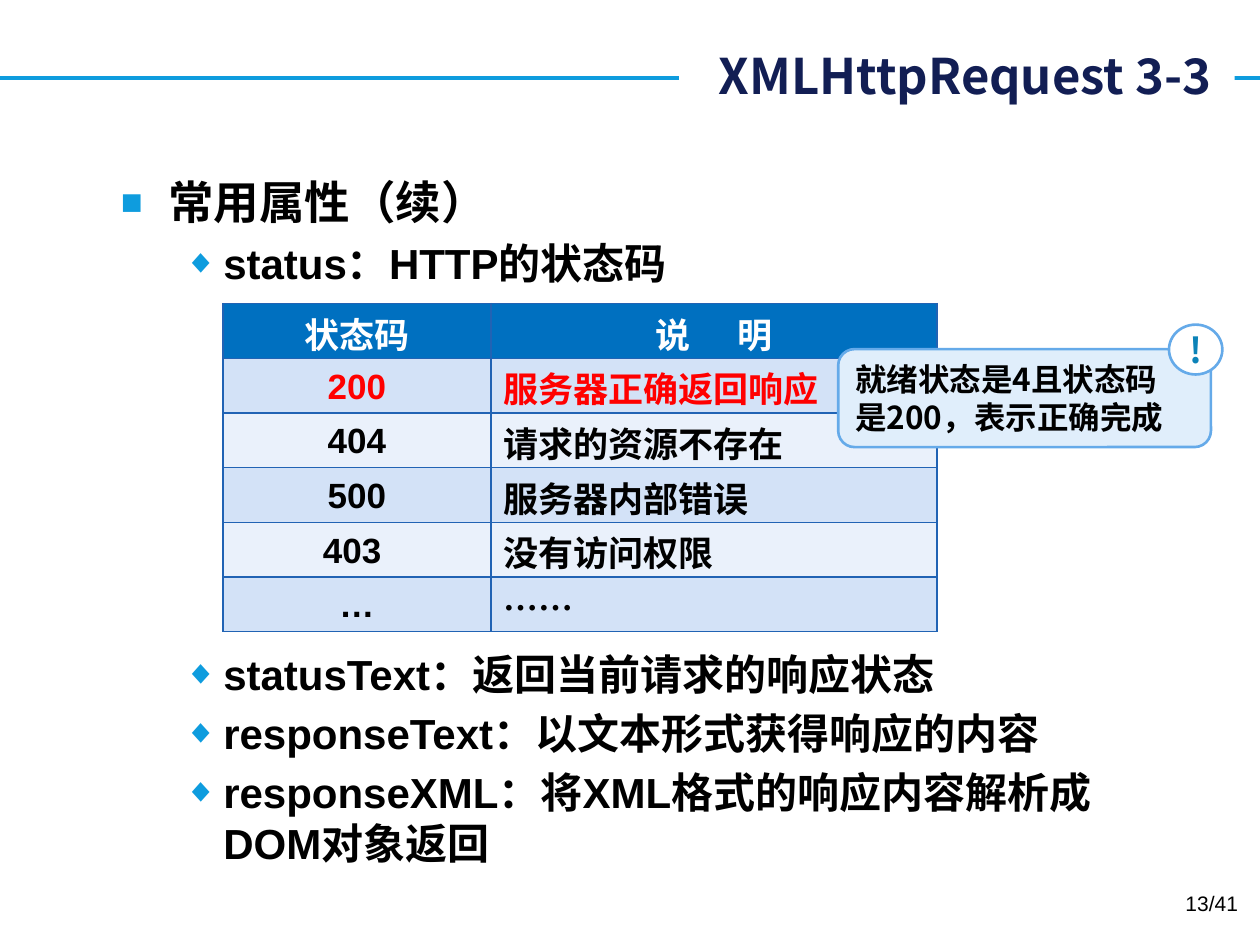
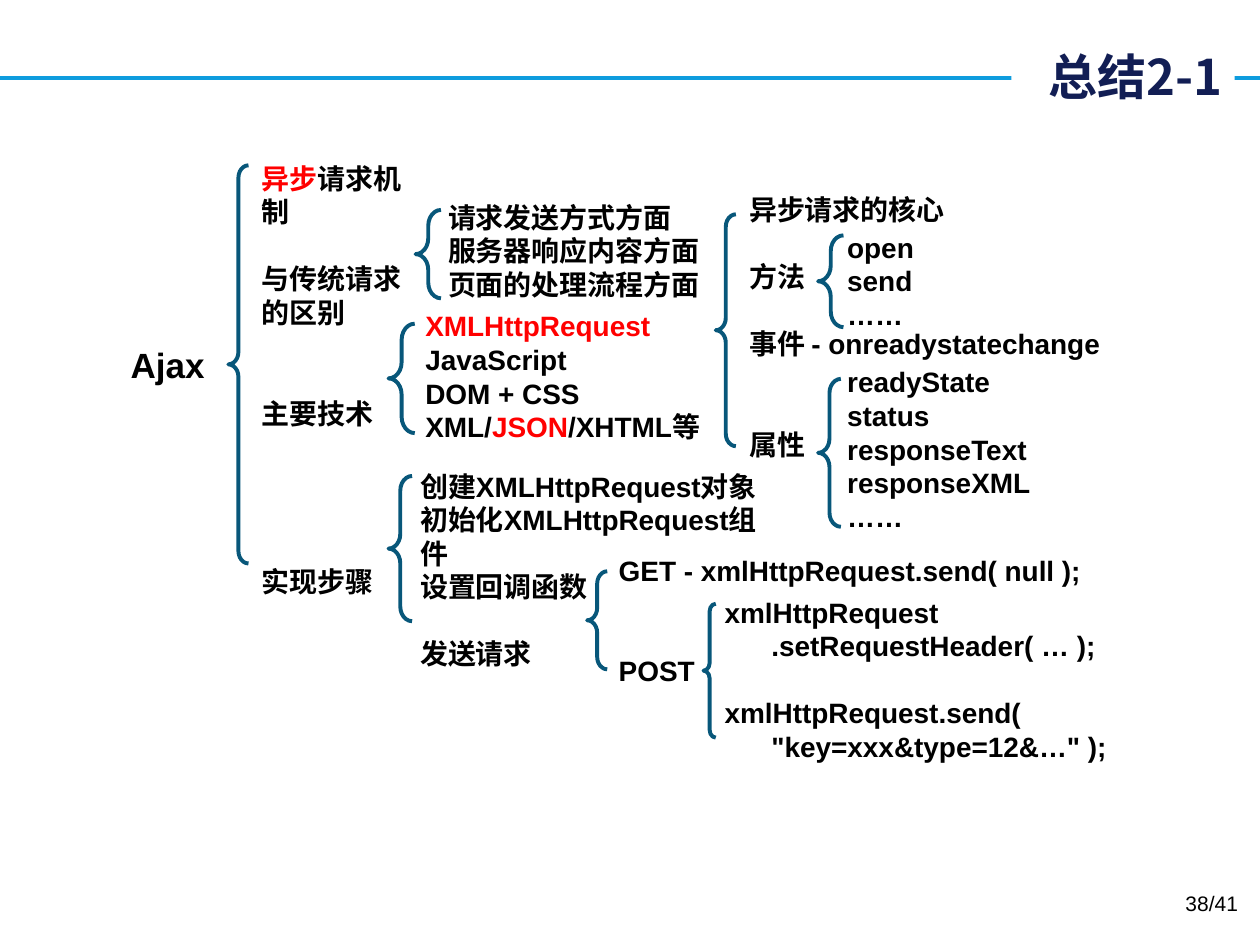
from dataclasses import dataclass

from lxml.etree import SubElement
from pptx import Presentation
from pptx.dml.color import RGBColor
from pptx.enum.shapes import MSO_CONNECTOR, MSO_SHAPE
from pptx.enum.text import MSO_ANCHOR, PP_ALIGN
from pptx.oxml.ns import qn
from pptx.util import Pt


@dataclass(frozen=True)
class Theme:
    accent: str = "0E9CDE"
    title: str = "121E54"
    text: str = "000000"
    paper: str = "FFFFFF"
    emphasis: str = "FF0000"
    brace: str = "08577A"
    header: str = "0070C0"
    bands: tuple = ("EAF1FB", "D3E2F7")
    grid: str = "2163B4"
    note_fill: str = "E0EEFB"
    note_line: str = "65AAE9"
    note_mark: str = "0C83B8"
    latin: str = "Arial"
    han: str = "Noto Sans CJK SC"
    title_size: int = 28
    heading_size: int = 26
    body_size: int = 24
    table_size: int = 20
    note_size: int = 18
    tree_size: int = 16
    footer_size: int = 12
    leading: float = 1.2


@dataclass
class Line:
    text: str
    before: float = 0
    indent: float = 0
    hanging: float = 0
    bullet: str = ""
    size: int = 0


theme = Theme()


def write(frame, lines, size, color=theme.text, font=theme.latin, bold=True,
          align=PP_ALIGN.LEFT, anchor=MSO_ANCHOR.TOP):
    """Fill a text frame; parts between asterisks take the emphasis colour."""
    frame.word_wrap = True
    frame.vertical_anchor = anchor
    for index, line in enumerate(lines):
        para = frame.add_paragraph() if index else frame.paragraphs[0]
        points = line.size or size
        formats = {"alignment": align, "space_before": Pt(line.before),
                   "line_spacing": Pt(round(points * theme.leading, 1))}
        for name, value in formats.items():
            setattr(para, name, value)
        properties = para._p.get_or_add_pPr()
        properties.set("marL", str(Pt(line.indent)))
        properties.set("indent", str(Pt(-line.hanging)))
        if line.bullet:
            tint = SubElement(properties, qn("a:buClr"))
            SubElement(tint, qn("a:srgbClr"), val=theme.accent)
            SubElement(properties, qn("a:buSzPct"), val="80000")
            SubElement(properties, qn("a:buFont"), typeface=theme.latin)
            SubElement(properties, qn("a:buChar"), char=line.bullet)
        for part, text in enumerate(line.text.split("*")):
            if not text:
                continue
            span = para.add_run()
            span.text = text
            for name, value in {"size": Pt(points), "bold": bold, "name": font}.items():
                setattr(span.font, name, value)
            span.font.color.rgb = RGBColor.from_string(theme.emphasis if part % 2 else color)
            SubElement(span._r.get_or_add_rPr(), qn("a:ea"), typeface=theme.han)


def start_page(deck, title, title_frame, number):
    """Add a page with the rule, the title that interrupts it and the page number."""
    page = deck.slides.add_slide(deck.slide_layouts[6])
    rule = page.shapes.add_connector(MSO_CONNECTOR.STRAIGHT, 0, Pt(44.6), deck.slide_width, Pt(44.6))
    rule.line.width = Pt(2.25)
    rule.line.color.rgb = RGBColor.from_string(theme.accent)
    SubElement(rule._element.spPr, qn("a:effectLst"))

    box = page.shapes.add_textbox(*map(Pt, title_frame))
    box.fill.solid()
    box.fill.fore_color.rgb = RGBColor.from_string(theme.paper)
    write(box.text_frame, [Line(title)], theme.title_size, theme.title, theme.han,
          align=PP_ALIGN.RIGHT, anchor=MSO_ANCHOR.MIDDLE)

    footer = page.shapes.add_textbox(Pt(546.5), Pt(505.5), Pt(168), Pt(29))
    write(footer.text_frame, [Line(f"{number}/41")], theme.footer_size,
          bold=False, align=PP_ALIGN.RIGHT)
    return page


deck = Presentation()
deck.slide_width, deck.slide_height = Pt(720), Pt(540)

# Status codes
page = start_page(deck, "XMLHttpRequest 3-3 ", (388, 22.5, 317.5, 41), 13)
attributes = [
    ("status：HTTP的状态码", 5),
    ("statusText：返回当前请求的响应状态", 206),
    ("responseText：以文本形式获得响应的内容", 5),
    ("responseXML：将XML格式的响应内容解析成 DOM对象返回", 5),
]
body = page.shapes.add_textbox(Pt(62), Pt(96), Pt(602), Pt(405))
write(body.text_frame,
      [Line("常用属性（续）", indent=27, hanging=27, bullet="■", size=theme.heading_size)]
      + [Line(text, before, 58.5, 22.5, "◆") for text, before in attributes],
      theme.body_size)

codes = [
    ("状态码", "说 明"),
    ("*200*", "*服务器正确返回响应*"),
    ("404", "请求的资源不存在"),
    ("500", "服务器内部错误"),
    ("403 ", "没有访问权限"),
    ("…", "……"),
]
frame = page.shapes.add_table(len(codes), 2, Pt(127.5), Pt(173.5), Pt(408), Pt(187.2))
table = frame.table
table.first_row = table.horz_banding = False
for column, width in zip(table.columns, (153, 255)):
    column.width = Pt(width)
for row, texts in enumerate(codes):
    table.rows[row].height = Pt(31.2)
    for column, text in enumerate(texts):
        cell = table.cell(row, column)
        is_header = row == 0
        is_code = column == 0 and not is_header
        margins = {"margin_top": Pt(3.6 if is_code else 7.2),
                   "margin_bottom": Pt(3.6 if is_code else 0)}
        for name, value in margins.items():
            setattr(cell, name, value)
        for side in ("a:lnL", "a:lnR", "a:lnT", "a:lnB"):
            border = SubElement(cell._tc.get_or_add_tcPr(), qn(side), w=str(Pt(1)))
            SubElement(SubElement(border, qn("a:solidFill")), qn("a:srgbClr"), val=theme.grid)
        cell.fill.solid()
        cell.fill.fore_color.rgb = RGBColor.from_string(
            theme.header if is_header else theme.bands[row % 2])
        write(cell.text_frame, [Line(text)], theme.table_size,
              theme.paper if is_header else theme.text,
              theme.latin if is_code else theme.han,
              align=PP_ALIGN.CENTER if is_header or is_code else PP_ALIGN.LEFT)
        cell.vertical_anchor = MSO_ANCHOR.TOP if is_header else MSO_ANCHOR.MIDDLE

# The two header characters stand apart through letter spacing.
header_span = table.cell(0, 1).text_frame.paragraphs[0].runs[0]
header_span.text = "说 "
header_span._r.get_or_add_rPr().set("spc", "1100")
last_span = table.cell(0, 1).text_frame.paragraphs[0].add_run()
last_span.text = "明"
for name, value in {"size": Pt(theme.table_size), "bold": True, "name": theme.han}.items():
    setattr(last_span.font, name, value)
last_span.font.color.rgb = RGBColor.from_string(theme.paper)
SubElement(last_span._r.get_or_add_rPr(), qn("a:ea"), typeface=theme.han)

callout = [
    (MSO_SHAPE.ROUNDED_RECTANGLE, (479, 199.5, 213, 56), theme.note_fill,
     ["就绪状态是4且状态码", "是200，表示正确完成"], theme.note_size, theme.text, PP_ALIGN.LEFT),
    (MSO_SHAPE.OVAL, (668, 185.5, 30.5, 28.5), theme.paper,
     ["!"], theme.table_size, theme.note_mark, PP_ALIGN.CENTER),
]
for kind, place, fill, texts, size, color, align in callout:
    shape = page.shapes.add_shape(kind, *map(Pt, place))
    shape.shadow.inherit = False
    shape.fill.solid()
    shape.fill.fore_color.rgb = RGBColor.from_string(fill)
    shape.line.color.rgb = RGBColor.from_string(theme.note_line)
    shape.line.width = Pt(1.5)
    shape.text_frame.margin_top = shape.text_frame.margin_bottom = 0
    write(shape.text_frame, [Line(text) for text in texts], size, color, theme.han,
          align=align, anchor=MSO_ANCHOR.MIDDLE)

# Summary tree
page = start_page(deck, "总结2-1", (578, 6, 127.5, 75), 38)
braces = [
    (130.5, 94.5, 11.5, 227.5),
    (237.5, 120, 14.5, 50.5),
    (222, 185, 15, 62.5),
    (409, 122.5, 11.5, 132.5),
    (467.5, 134.5, 14.5, 52.5),
    (467.5, 216.5, 13, 84.5),
    (222, 272, 13.5, 83),
    (335.5, 326.5, 11.5, 56),
    (402, 345, 7, 76.5),
]
for place in braces:
    brace = page.shapes.add_shape(MSO_SHAPE.LEFT_BRACE, *map(Pt, place))
    brace.shadow.inherit = False
    brace.fill.background()
    brace.line.color.rgb = RGBColor.from_string(theme.brace)
    brace.line.width = Pt(2.25)
    brace.adjustments[0] = 0.62

skip = theme.tree_size * theme.leading
root = page.shapes.add_textbox(Pt(67.5), Pt(193), Pt(60), Pt(31))
write(root.text_frame, [Line("Ajax")], theme.table_size)

branches = [
    (142.5, 88.5, 100, [
        Line("*异步*请求机制"), Line("与传统请求", skip), Line("的区别"),
        Line("主要技术", 2 * skip), Line("实现步骤", 4 * skip)]),
    (249, 111, 160, [
        Line("请求发送方式方面"), Line("服务器响应内容方面"), Line("页面的处理流程方面")]),
    (236, 173, 196, [
        Line("*XMLHttpRequest*"), Line("JavaScript"), Line("DOM + CSS"),
        Line("XML/*JSON*/XHTML等")]),
    (421, 106.5, 226, [
        Line("异步请求的核心"), Line("方法", skip),
        Line("事件 - onreadystatechange", skip), Line("属性", 2 * skip)]),
    (477, 128, 73.5, [Line("open"), Line("send"), Line("……")]),
    (477, 205, 170, [
        Line("readyState"), Line("status"), Line("responseText"),
        Line("responseXML"), Line("……")]),
    (233, 264.5, 222, [
        Line("创建XMLHttpRequest对象"), Line("初始化XMLHttpRequest组件"),
        Line("设置回调函数"), Line("发送请求", skip)]),
    (346.5, 312.5, 282, [
        Line("GET - xmlHttpRequest.send( null );"), Line("POST", 2 * skip)]),
    (407, 336.5, 240.5, [
        Line("xmlHttpRequest"), Line(".setRequestHeader( … );", indent=26.7),
        Line("xmlHttpRequest.send(", skip),
        Line('"key=xxx&type=12&…" );', indent=26.7)]),
]
for left, top, width, lines in branches:
    height = round(sum(line.before + skip for line in lines) + 7.2, 1)
    box = page.shapes.add_textbox(Pt(left), Pt(top), Pt(width), Pt(height))
    write(box.text_frame, lines, theme.tree_size)

deck.save("out.pptx")
